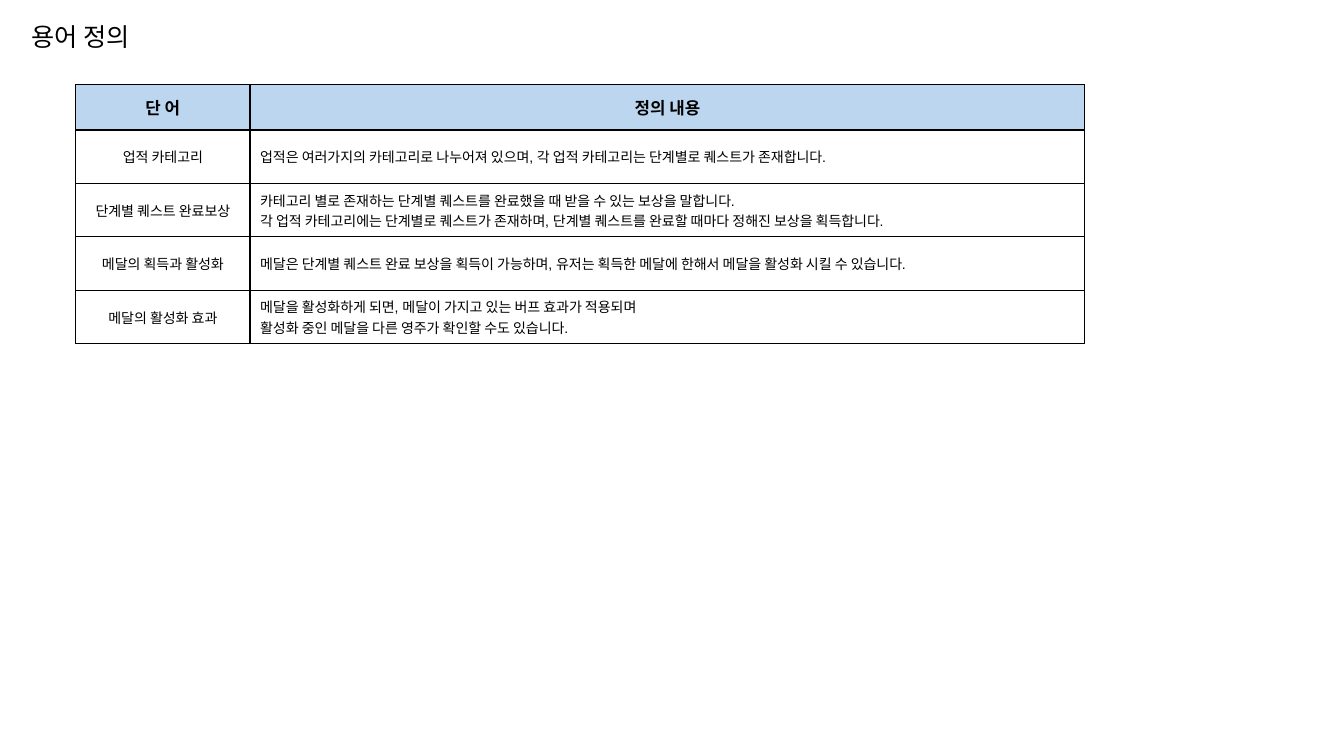
from lxml import etree
from pptx import Presentation
from pptx.dml.color import RGBColor as Rgb
from pptx.enum.text import MSO_ANCHOR as Anchor, MSO_AUTO_SIZE as Fit, PP_ALIGN as Align
from pptx.oxml.ns import qn
from pptx.util import Inches, Pt

HUES = {"ink": "000000", "head": "BBD6EE", "body": "FFFFFF"}
FONT = "Arial"
COLS = [1.73, 8.28]
HEAD_H, ROW_H = 0.45, 0.53
TERMS = [
    ("단 어", "정의 내용"),
    ("업적 카테고리",
     "업적은 여러가지의 카테고리로 나누어져 있으며, 각 업적 카테고리는 단계별로 퀘스트가 존재합니다."),
    ("단계별 퀘스트 완료보상",
     "카테고리 별로 존재하는 단계별 퀘스트를 완료했을 때 받을 수 있는 보상을 말합니다.\n"
     "각 업적 카테고리에는 단계별로 퀘스트가 존재하며, 단계별 퀘스트를 완료할 때마다 정해진 보상을 획득합니다."),
    ("메달의 획득과 활성화",
     "메달은 단계별 퀘스트 완료 보상을 획득이 가능하며, 유저는 획득한 메달에 한해서 메달을 활성화 시킬 수 있습니다."),
    ("메달의 활성화 효과",
     "메달을 활성화하게 되면, 메달이 가지고 있는 버프 효과가 적용되며\v"
     "활성화 중인 메달을 다른 영주가 확인할 수도 있습니다."),
]


class Page:
    def __init__(self, deck):
        self.slide = deck.slides.add_slide(deck.slide_layouts[5])

    def label(self, frame, text, size, align, bold=False):
        frame.text = text
        for para in frame.paragraphs:
            para.alignment = align
            for run in para.runs:
                font = run.font
                font.name, font.size, font.bold = FONT, Pt(size), bold
                font.color.rgb = Rgb.from_string(HUES["ink"])

    def title(self, text, left, top, width, height):
        box = self.slide.shapes.title
        box.left, box.top = Inches(left), Inches(top)
        box.width, box.height = Inches(width), Inches(height)
        frame = box.text_frame
        frame.auto_size = Fit.NONE
        frame.vertical_anchor = Anchor.MIDDLE
        self.label(frame, text, 18, Align.LEFT)

    def border(self, cell):
        """Draw all four edges; they must precede the fill in the cell's XML."""
        props = cell._tc.get_or_add_tcPr()
        for spot, side in enumerate(("lnL", "lnR", "lnT", "lnB")):
            line = etree.Element(qn("a:" + side), w=str(Pt(1)))
            fill = etree.SubElement(line, qn("a:solidFill"))
            etree.SubElement(fill, qn("a:srgbClr"), val=HUES["ink"])
            props.insert(spot, line)

    def table(self, rows, left, top):
        high = HEAD_H + ROW_H * (len(rows) - 1)
        grid = self.slide.shapes.add_table(
            len(rows), len(COLS), Inches(left), Inches(top),
            Inches(sum(COLS)), Inches(high)).table
        for col, width in zip(grid.columns, COLS):
            col.width = Inches(width)
        for r, row in enumerate(rows):
            head = r == 0
            grid.rows[r].height = Inches(HEAD_H if head else ROW_H)
            for c, text in enumerate(row):
                cell = grid.cell(r, c)
                cell.vertical_anchor = Anchor.MIDDLE
                cell.fill.solid()
                cell.fill.fore_color.rgb = Rgb.from_string(HUES["head" if head else "body"])
                self.border(cell)
                align = Align.CENTER if head or c == 0 else Align.LEFT
                self.label(cell.text_frame, text, 12 if head else 10, align, head)


def main():
    deck = Presentation()
    deck.slide_width, deck.slide_height = Inches(13.33), Inches(7.5)
    page = Page(deck)
    page.title("용어 정의", 0.21, 0.16, 5.34, 0.4)
    page.table(TERMS, 0.75, 0.84)
    deck.save("out.pptx")


if __name__ == "__main__":
    main()
